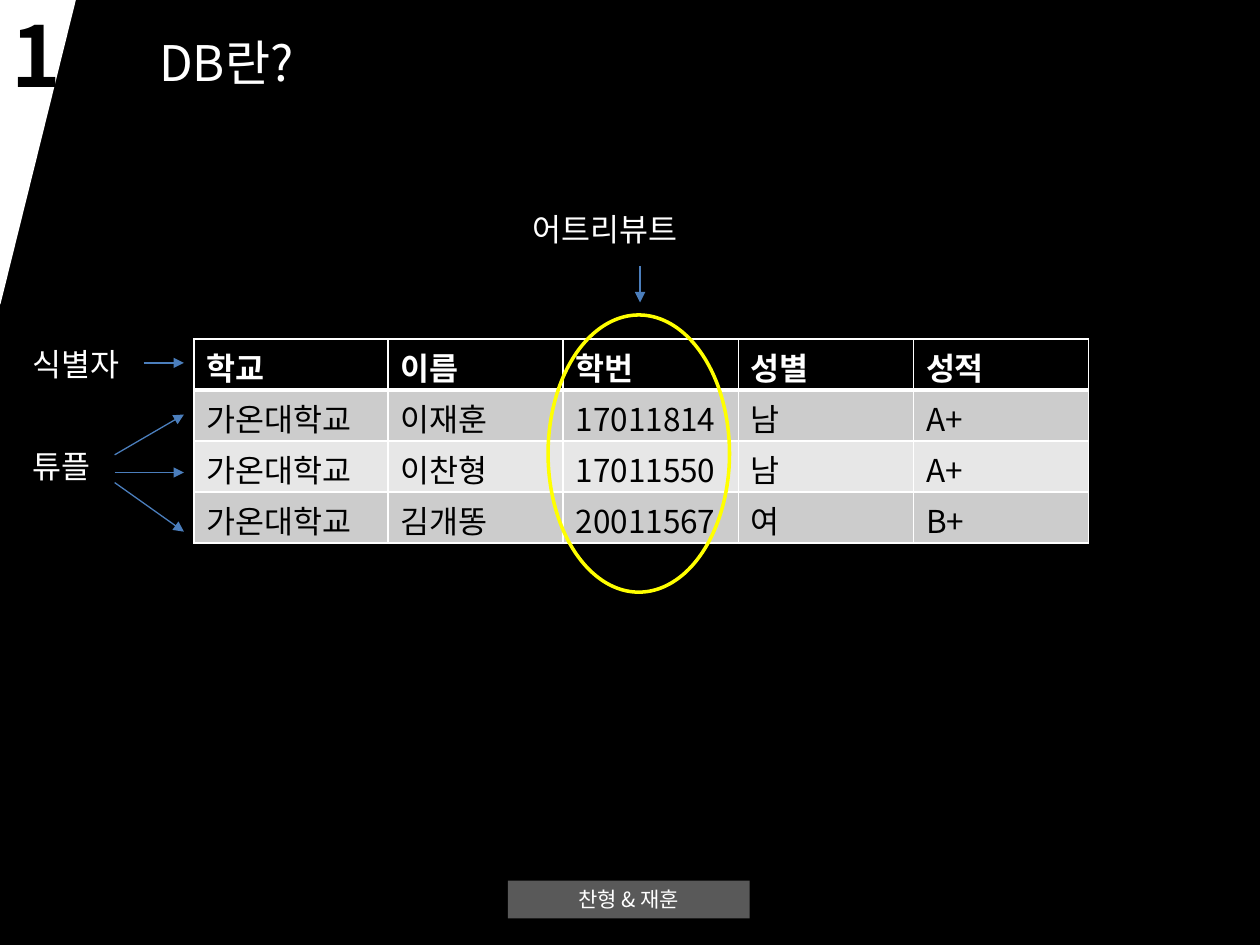
from lxml import etree
from pptx import Presentation
from pptx.dml.color import RGBColor
from pptx.enum.shapes import MSO_CONNECTOR, MSO_SHAPE
from pptx.enum.text import MSO_ANCHOR, PP_ALIGN
from pptx.oxml.ns import qn
from pptx.util import Inches, Pt

LEFT, CENTER = PP_ALIGN.LEFT, PP_ALIGN.CENTER
RECT, TRIANGLE, OVAL = MSO_SHAPE.RECTANGLE, MSO_SHAPE.RIGHT_TRIANGLE, MSO_SHAPE.OVAL
FONT = "Noto Sans CJK KR"
C = {"black": "000000", "white": "FFFFFF", "gray": "595959", "band": "CCCCCC",
     "light": "E7E7E7", "blue": "4B7EBC", "yellow": "FFFF00"}


def rgb(name):
    return RGBColor.from_string(C[name])


def write(tf, text, size=18, color="white", bold=False, align=LEFT):
    p = tf.paragraphs[0]
    p.alignment = align
    r = p.add_run()
    r.text = text
    r.font.size, r.font.bold, r.font.name = Pt(size), bold, FONT
    r.font.color.rgb = rgb(color)
    etree.SubElement(r.font._element, qn("a:ea"), typeface=FONT)


prs = Presentation()
prs.slide_width, prs.slide_height = Inches(10), Inches(7.5)
s = prs.slides.add_slide(prs.slide_layouts[6])

# Backdrop, corner, footer bar
for kind, box, fill, line, turn in [
    (RECT, (0, 0, 10, 7.5), "black", "black", 0),
    (TRIANGLE, (-0.92, 0.9, 2.42, 0.6), "white", "white", 90),
    (RECT, (4.03, 6.99, 1.92, 0.3), "gray", None, 0),
]:
    sp = s.shapes.add_shape(kind, *map(Inches, box))
    sp.shadow.inherit = False
    sp.rotation = turn
    sp.fill.solid()
    sp.fill.fore_color.rgb = rgb(fill)
    if line:
        sp.line.color.rgb = rgb(line)
        sp.line.width = Pt(2)
    else:
        sp.line.fill.background()
write(sp.text_frame, "찬형 & 재훈", size=12, align=CENTER)

# Title, number and labels
for text, box, style in [
    ("DB란?", (0.12, 0.21, 3.35, 0.57), dict(size=28, align=CENTER)),
    ("1", (-0.02, -0.03, 0.61, 0.91), dict(size=48, color="black", bold=True, align=CENTER)),
    ("식별자", (0.16, 2.69, 1.89, 0.4), {}),
    ("어트리뷰트", (4.13, 1.62, 1.89, 0.4), {}),
    ("튜플", (0.16, 3.5, 1.89, 0.4), {}),
]:
    tf = s.shapes.add_textbox(*map(Inches, box)).text_frame
    tf.word_wrap = True
    tf.vertical_anchor = MSO_ANCHOR.MIDDLE
    write(tf, text, **style)

# Student table
rows = [
    ["학교", "이름", "학번", "성별", "성적"],
    ["가온대학교", "이재훈", "17011814", "남", "A+"],
    ["가온대학교", "이찬형", "17011550", "남", "A+"],
    ["가온대학교", "김개똥", "20011567", "여", "B+"],
]
table = s.shapes.add_table(4, 5, Inches(1.54), Inches(2.69), Inches(7.1), Inches(1.62)).table
for i, col in enumerate(table.columns):
    col.width = Inches(1.39 if i else 1.54)
for i, row in enumerate(rows):
    for j, text in enumerate(row):
        cell = table.cell(i, j)
        cell.margin_top, cell.margin_bottom = Inches(0.04), 0
        write(cell.text_frame, text, color="black" if i else "white", bold=i == 0)
        tcPr = cell._tc.get_or_add_tcPr()
        for side in "LRTB":
            thick = (i, side) in ((0, "B"), (1, "T"))
            ln = etree.SubElement(tcPr, qn(f"a:ln{side}"), w=str(Pt(3 if thick else 1)))
            fill = etree.SubElement(ln, qn("a:solidFill"))
            etree.SubElement(fill, qn("a:srgbClr"), val=C["white"])
        cell.fill.solid()
        cell.fill.fore_color.rgb = rgb("black" if i == 0 else "band" if i % 2 else "light")

# Ring around the attribute column
sp = s.shapes.add_shape(OVAL, Inches(4.35), Inches(2.5), Inches(1.44), Inches(2.2))
sp.shadow.inherit = False
sp.fill.background()
sp.line.color.rgb = rgb("yellow")
sp.line.width = Pt(2)

# Arrows from the labels
for ends in [
    (1.14, 2.88, 1.46, 2.88),
    (0.91, 3.61, 1.46, 3.29),
    (0.91, 3.75, 1.46, 3.75),
    (0.91, 3.83, 1.46, 4.22),
    (5.08, 2.11, 5.08, 2.4),
]:
    cx = s.shapes.add_connector(MSO_CONNECTOR.STRAIGHT, *map(Inches, ends))
    cx.line.color.rgb = rgb("blue")
    cx.line.width = Pt(0.75)
    etree.SubElement(cx.line._get_or_add_ln(), qn("a:tailEnd"), type="triangle")
    etree.SubElement(cx._element.spPr, qn("a:effectLst"))

prs.save("out.pptx")
